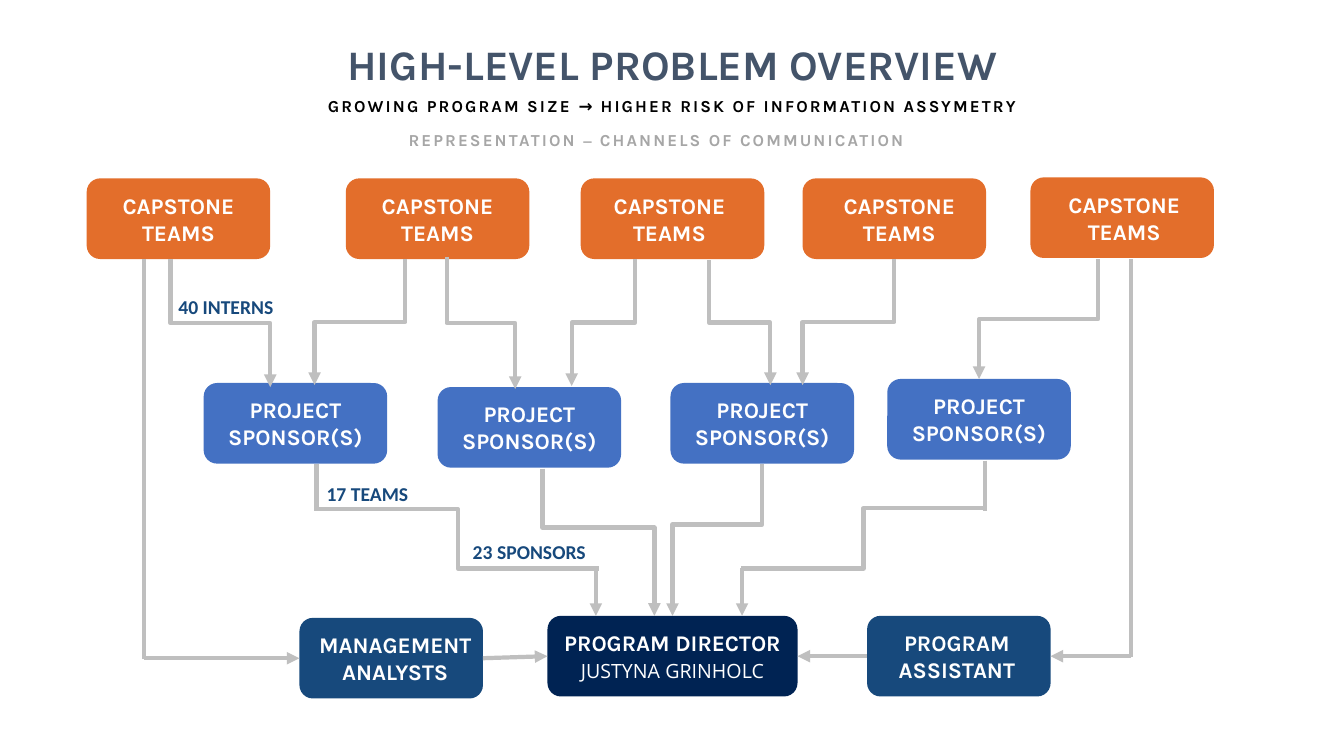
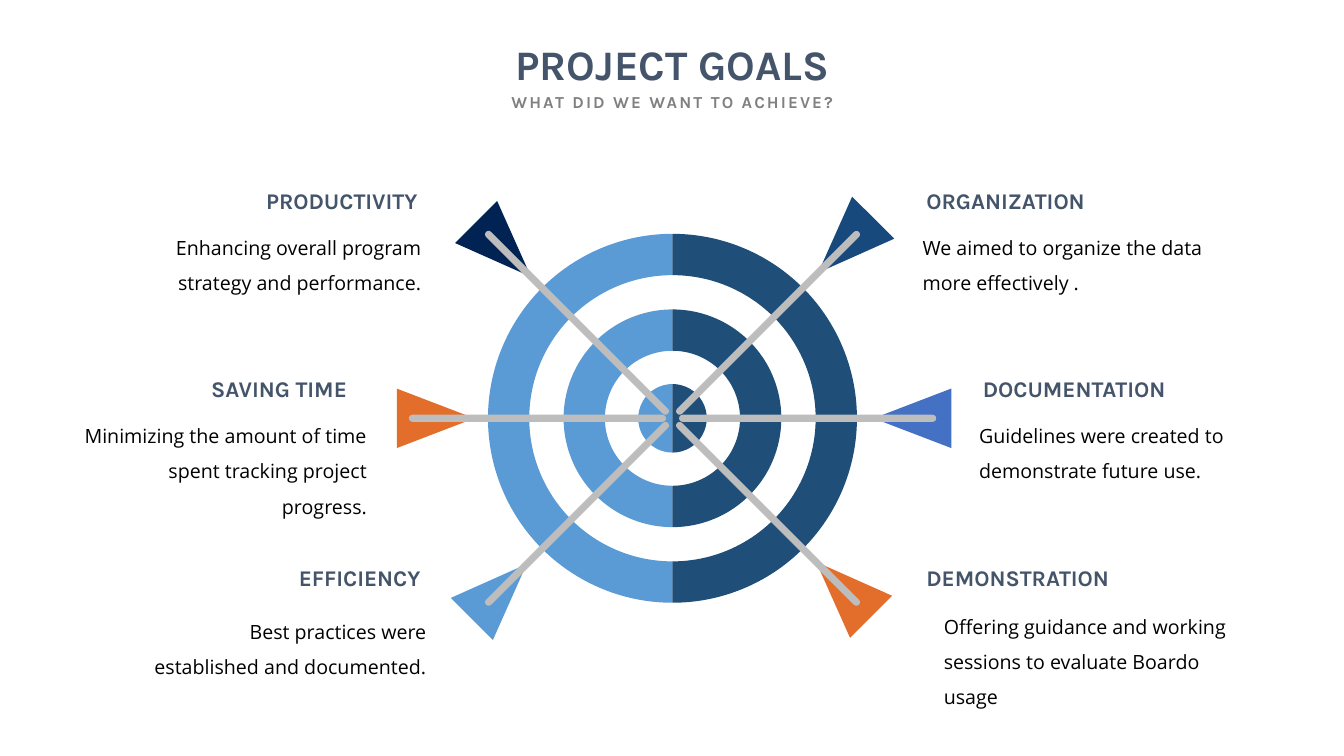
import math

from lxml import etree
from pptx import Presentation
from pptx import util as u
from pptx.dml.color import RGBColor
from pptx.enum import shapes, text
from pptx.oxml import ns

ORANGE, BLUE, MID_BLUE, NAVY = "E36E2B", "4471C3", "17497C", "002353"
SKY, STEEL, SLATE = "5B9BD5", "1F4E79", "44546A"
WHITE, BLACK, LINE_GRAY, SHAFT_GRAY = "FFFFFF", "000000", "BFBFBF", "BDBDBD"
HEADING_FONT, BODY_FONT = "Karla", "Open Sans"
KIND = shapes.MSO_SHAPE
STRAIGHT, ELBOW = shapes.MSO_CONNECTOR.STRAIGHT, shapes.MSO_CONNECTOR.ELBOW
TOP, MIDDLE = text.MSO_ANCHOR.TOP, text.MSO_ANCHOR.MIDDLE
LEFT, CENTER, RIGHT = text.PP_ALIGN.LEFT, text.PP_ALIGN.CENTER, text.PP_ALIGN.RIGHT


def add_filled(slide, kind, center, size, color, rotation=0):
    """Add a plain filled shape placed by its centre point."""
    (x, y), (width, height) = center, size
    shape = slide.shapes.add_shape(
        kind, u.Inches(x - width / 2), u.Inches(y - height / 2), u.Inches(width), u.Inches(height))
    shape.shadow.inherit = False
    shape.fill.solid()
    shape.fill.fore_color.rgb = RGBColor.from_string(color)
    shape.line.fill.background()
    shape.rotation = rotation
    return shape


def write(shape, words, size, color, font=HEADING_FONT, bold=True, align=CENTER, anchor=MIDDLE, tracking=0):
    frame = shape.text_frame
    frame.text = words
    frame.word_wrap = True
    frame.auto_size = text.MSO_AUTO_SIZE.NONE
    frame.vertical_anchor = anchor
    for paragraph in frame.paragraphs:
        paragraph.alignment = align
        for run in paragraph.runs:
            run.font.name, run.font.size, run.font.bold = font, u.Pt(size), bold
            run.font.color.rgb = RGBColor.from_string(color)
            if tracking:
                run.font._element.set("spc", str(int(tracking * 100)))


presentation = Presentation()
presentation.slide_width, presentation.slide_height = u.Inches(13.33), u.Inches(7.5)

# Titles and subtitles: centre x, top, words, colour
headers = [
    ("HIGH-LEVEL PROBLEM OVERVIEW", [
        (6.67, 0.9, "GROWING PROGRAM SIZE → HIGHER RISK OF INFORMATION ASSYMETRY", BLACK),
        (6.51, 1.24, "REPRESENTATION ⎯ CHANNELS OF COMMUNICATION", "A6A6A6")]),
    ("PROJECT GOALS", [(6.67, 0.86, "WHAT DID WE WANT TO ACHIEVE?", "808080")]),
]
slides = []
for title_words, subtitles in headers:
    slide = presentation.slides.add_slide(presentation.slide_layouts[5])
    title = slide.shapes.title
    title.left, title.top, title.width, title.height = map(u.Inches, (2.67, 0.33, 8, 0.61))
    write(title, title_words, 30, SLATE, anchor=TOP)
    for center_x, top, words, color in subtitles:
        box = slide.shapes.add_textbox(u.Inches(center_x - 4.07), u.Inches(top), u.Inches(8.14), u.Inches(0.3))
        write(box, words, 12, color, anchor=TOP, tracking=1.5)
    slides.append(slide)
overview, goals = slides

# Overview boxes: centre, width, words, colour, sideways shift of the text
CAPSTONE, SPONSOR = "CAPSTONE TEAMS", "PROJECT SPONSOR(S)"
box_rows = [
    (1.77, 2.17, 1.82, CAPSTONE, ORANGE, 0),
    (4.34, 2.17, 1.82, CAPSTONE, ORANGE, 0),
    (6.67, 2.17, 1.82, CAPSTONE, ORANGE, -0.03),
    (8.87, 2.17, 1.82, CAPSTONE, ORANGE, 0.05),
    (11.13, 2.16, 1.82, CAPSTONE, ORANGE, 0.02),
    (2.93, 4.2, 1.82, SPONSOR, BLUE, 0),
    (5.25, 4.24, 1.82, SPONSOR, BLUE, 0),
    (7.56, 4.2, 1.82, SPONSOR, BLUE, 0),
    (9.71, 4.16, 1.82, SPONSOR, BLUE, 0),
    (3.88, 6.53, 1.82, "MANAGEMENT ANALYSTS", MID_BLUE, 0.04),
    (6.67, 6.51, 2.48, "PROGRAM DIRECTOR\nJUSTYNA GRINHOLC", NAVY, 0),
    (9.51, 6.51, 1.82, "PROGRAM ASSISTANT", MID_BLUE, -0.02),
]
boxes = []
for x, y, width, words, color, shift in box_rows:
    box = add_filled(overview, KIND.ROUNDED_RECTANGLE, (x, y), (width, 0.8), color)
    write(box, words, 16, WHITE)
    frame = box.text_frame
    frame.margin_left = u.Inches(0.03 + 2 * max(shift, 0))
    frame.margin_right = u.Inches(0.03 + 2 * max(-shift, 0))
    frame.margin_top = frame.margin_bottom = 0
    boxes.append(box)
analysts, director, assistant = boxes[-3:]
director_name = director.text_frame.paragraphs[1]
director_name.space_before = u.Pt(2)
name_font = director_name.runs[0].font
name_font.name, name_font.size, name_font.bold = BODY_FONT, u.Pt(14), False

for left, top, words in [(1.67, 2.87, "40 INTERNS"), (3.14, 4.73, "17 TEAMS"), (4.59, 5.3, "23 SPONSORS")]:
    label = overview.shapes.add_textbox(u.Inches(left), u.Inches(top), u.Inches(1.49), u.Inches(0.34))
    write(label, words, 14, MID_BLUE, font="Calibri", align=LEFT)

connectors = []  # pairs of connector and whether it has an arrowhead

# Elbows that leave downwards: start, end, share of the height before the bend
for x1, y1, x2, y2, bend in [
    (1.69, 2.57, 2.68, 3.84, 0.5),
    (4.02, 2.57, 3.12, 3.82, 0.5),
    (4.43, 2.55, 5.11, 3.86, 0.5),
    (6.3, 2.57, 5.67, 3.83, 0.5),
    (7.03, 2.58, 7.64, 3.82, 0.5),
    (8.87, 2.57, 7.96, 3.82, 0.5),
    (10.89, 2.57, 9.71, 3.76, 0.5),
    (5.38, 4.65, 6.49, 6.11, 0.4),
    (7.56, 4.6, 6.67, 6.11, 0.4),
]:
    center_x, center_y = (x1 + x2) / 2, (y1 + y2) / 2
    half_length, half_breadth = (y2 - y1) / 2, abs(x2 - x1) / 2
    connector = overview.shapes.add_connector(
        ELBOW, u.Inches(center_x - half_length), u.Inches(center_y - half_breadth),
        u.Inches(center_x + half_length), u.Inches(center_y + half_breadth))
    properties = connector.element.spPr
    transform = properties.find(ns.qn("a:xfrm"))
    transform.set("rot", str((270 if x2 > x1 else 90) * 60000))
    if x2 > x1:
        transform.set("flipH", "1")
    guides = properties.find(ns.qn("a:prstGeom")).find(ns.qn("a:avLst"))
    etree.SubElement(guides, ns.qn("a:gd"), name="adj1", fmla=f"val {round(bend * 100000)}")
    connectors.append((connector, True))

# Other lines: kind, start, end, arrowhead, joins at the start and the end
for kind, x1, y1, x2, y2, arrow, begin, end in [
    (STRAIGHT, 3.14, 4.6, 3.14, 5.07, False, None, None),
    (ELBOW, 3.14, 5.05, 5.94, 5.64, False, None, None),
    (STRAIGHT, 5.91, 5.64, 5.91, 6.11, True, None, None),
    (STRAIGHT, 9.77, 4.57, 9.77, 5.07, False, None, None),
    (ELBOW, 9.78, 5.04, 7.35, 5.64, False, None, None),
    (STRAIGHT, 7.36, 5.64, 7.36, 6.11, True, None, None),
    (STRAIGHT, 1.43, 2.57, 1.43, 6.54, False, None, None),
    (STRAIGHT, 1.43, 6.53, 2.97, 6.53, True, None, (analysts, 1)),
    (STRAIGHT, 11.22, 2.57, 11.22, 6.52, False, None, None),
    (STRAIGHT, 11.22, 6.51, 10.42, 6.51, True, None, (assistant, 3)),
    (STRAIGHT, 4.79, 6.53, 5.43, 6.51, True, (analysts, 3), (director, 1)),
    (STRAIGHT, 8.6, 6.51, 7.91, 6.51, True, (assistant, 1), (director, 3)),
]:
    connector = overview.shapes.add_connector(kind, u.Inches(x1), u.Inches(y1), u.Inches(x2), u.Inches(y2))
    if begin:
        connector.begin_connect(*begin)
    if end:
        connector.end_connect(*end)
    connectors.append((connector, arrow))

for connector, arrow in connectors:
    connector.line.color.rgb = RGBColor.from_string(LINE_GRAY)
    connector.line.width = u.Pt(3)
    properties = connector.element.spPr
    if arrow:
        etree.SubElement(properties.find(ns.qn("a:ln")), ns.qn("a:tailEnd"), type="triangle")
    etree.SubElement(properties, ns.qn("a:effectLst"))

# Target: rings in two halves, angles clockwise from the right
TARGET_X, TARGET_Y = 6.67, 4.15
for radius, thickness in [(1.83, 0.41), (1.08, 0.41), (0.34, 0.34)]:
    for color, start, stop in [(SKY, 90, 270), (STEEL, 270, 90)]:
        ring = add_filled(goals, KIND.BLOCK_ARC, (TARGET_X, TARGET_Y), (2 * radius, 2 * radius), color)
        ring.adjustments[0] = start * 0.6
        ring.adjustments[1] = stop * 0.6
        ring.adjustments[2] = thickness / (2 * radius)

# Darts: direction, distance of the feather from the centre, feather colour
for angle, distance, color in [
    (0, 2.38, BLUE), (45, 2.4, ORANGE), (135, 2.43, SKY),
    (180, 2.35, ORANGE), (225, 2.37, NAVY), (315, 2.43, MID_BLUE),
]:
    across, down = math.cos(math.radians(angle)), math.sin(math.radians(angle))
    feather_center = (TARGET_X + distance * across, TARGET_Y + distance * down)
    add_filled(goals, KIND.ISOSCELES_TRIANGLE, feather_center, (0.59, 0.77), color, (angle + 270) % 360)
    shaft_center = (TARGET_X + 1.34 * across, TARGET_Y + 1.34 * down)
    shaft = add_filled(goals, KIND.ROUNDED_RECTANGLE, shaft_center, (2.55, 0.07), SHAFT_GRAY, angle % 180)
    shaft.adjustments[0] = 0.5

# Goals: alignment, outer edge and top of heading, the same of body, words
HEADING_WIDTH, BODY_WIDTH = 2.4, 3.05
for align, heading_x, heading_y, body_x, body_y, heading, body in [
    (RIGHT, 4.24, 1.8, 4.3, 2.16, "PRODUCTIVITY", "Enhancing overall program strategy and performance."),
    (RIGHT, 3.54, 3.67, 3.76, 4.03, "SAVING TIME",
     "Minimizing the amount of time spent tracking project progress."),
    (RIGHT, 4.27, 5.54, 4.35, 5.97, "EFFICIENCY", "Best practices were established and documented."),
    (LEFT, 9.09, 1.8, 9.03, 2.16, "ORGANIZATION", "We aimed to organize the data more effectively ."),
    (LEFT, 9.65, 3.67, 9.59, 4.03, "DOCUMENTATION", "Guidelines were created to demonstrate future use."),
    (LEFT, 9.09, 5.54, 9.24, 5.92, "DEMONSTRATION",
     "Offering guidance and working sessions to evaluate Boardo usage"),
]:
    if align == RIGHT:
        heading_x, body_x = heading_x - HEADING_WIDTH, body_x - BODY_WIDTH
    box = goals.shapes.add_textbox(
        u.Inches(heading_x), u.Inches(heading_y), u.Inches(HEADING_WIDTH), u.Inches(0.37))
    write(box, heading, 16, SLATE, align=align)
    box = goals.shapes.add_textbox(u.Inches(body_x), u.Inches(body_y), u.Inches(BODY_WIDTH), u.Inches(1.14))
    write(box, body, 14, BLACK, font=BODY_FONT, bold=False, align=align, anchor=TOP)
    frame = box.text_frame
    frame.margin_left = frame.margin_right = u.Inches(0.12)
    frame.margin_top = frame.margin_bottom = u.Inches(0.06)
    frame.paragraphs[0].line_spacing = 1.5

presentation.save("out.pptx")
